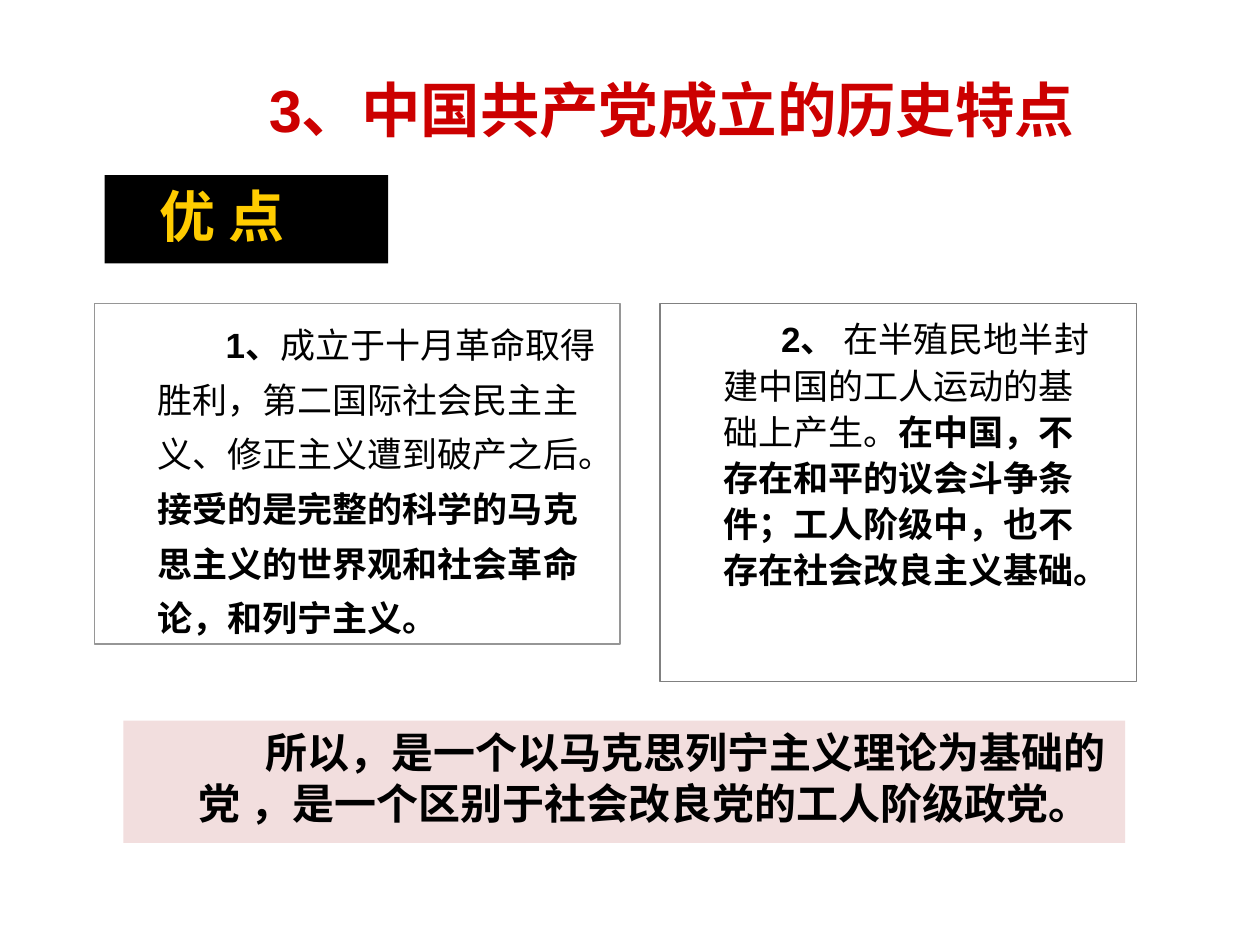
from pptx import Presentation
from pptx.dml.color import RGBColor
from pptx.enum.shapes import MSO_SHAPE
from pptx.enum.text import MSO_ANCHOR, PP_ALIGN
from pptx.util import Inches, Pt

RED = RGBColor(0xCC, 0x00, 0x00)
GOLD = RGBColor(0xFF, 0xCC, 0x00)
BLACK = RGBColor(0x00, 0x00, 0x00)
PINK = RGBColor(0xF2, 0xDE, 0xDE)
GRAY = RGBColor(0x96, 0x96, 0x96)
DARK = RGBColor(0x80, 0x80, 0x80)
SANS, HAN = "Arial", "Noto Sans CJK JP"

# Content: runs are (text, bold); pad is left, top, right, bottom
TITLE = "3、中国共产党成立的历史特点"
PAD = (0.1, 0.05, 0.1, 0.05)
BOXES = [
    dict(at=(0.83, 1.39, 2.25, 0.7), fill=BLACK, line=None, pad=PAD,
         left=0, first=0.34, gap=1.0, size=32, face=HAN, ink=GOLD,
         runs=[("优 点", True)]),
    dict(at=(0.98, 5.72, 7.95, 0.97), fill=PINK, line=None, pad=PAD,
         left=0.5, first=0.53, gap=1.0, size=24, face=SANS, ink=BLACK,
         runs=[("所以，是一个以马克思列宁主义理论为基础的党 ，"
                "是一个区别于社会改良党的工人阶级政党。", True)]),
    dict(at=(0.75, 2.41, 4.17, 2.7), fill=None, line=GRAY,
         pad=(0, 0.06, 0.06, 0.04),
         left=0.5, first=0.54, gap=1.3, size=20, face=SANS, ink=BLACK,
         runs=[("1、", True),
               ("成立于十月革命取得胜利，第二国际社会民主主义、"
                "修正主义遭到破产之后。", False),
               ("接受的是完整的科学的马克思主义的世界观和社会革命论，"
                "和列宁主义。", True)]),
    dict(at=(5.24, 2.41, 3.78, 3), fill=None, line=DARK,
         pad=(0, 0.08, 0.35, 0.35),
         left=0.5, first=0.46, gap=1.1, size=20, face=SANS, ink=BLACK,
         runs=[("2、 ", True),
               ("在半殖民地半封建中国的工人运动的基础上产生。", False),
               ("在中国，不存在和平的议会斗争条件；工人阶级中，"
                "也不存在社会改良主义基础。", True)]),
]


def set_frame(frame, pad):
    sides = [Inches(n) for n in pad]
    form = dict(zip(("margin_left", "margin_top", "margin_right",
                     "margin_bottom"), sides),
                word_wrap=True, vertical_anchor=MSO_ANCHOR.TOP)
    for key, val in form.items():
        setattr(frame, key, val)


def add_run(para, text, face, size, ink, bold):
    run = para.add_run()
    run.text = text
    form = dict(name=face, size=Pt(size), bold=bold)
    for key, val in form.items():
        setattr(run.font, key, val)
    run.font.color.rgb = ink


def add_box(slide, box):
    shape = slide.shapes.add_shape(
        MSO_SHAPE.RECTANGLE, *[Inches(n) for n in box["at"]])
    shape.shadow.inherit = False
    if box["fill"] is None:
        shape.fill.background()
    else:
        shape.fill.solid()
        shape.fill.fore_color.rgb = box["fill"]
    if box["line"] is None:
        shape.line.fill.background()
    else:
        shape.line.color.rgb = box["line"]
        shape.line.width = Pt(1)
    set_frame(shape.text_frame, box["pad"])
    para = shape.text_frame.paragraphs[0]
    para.alignment = PP_ALIGN.LEFT
    para.line_spacing = box["gap"]
    # Left margin and first-line indent
    props = para._p.get_or_add_pPr()
    props.set("marL", str(Inches(box["left"])))
    props.set("indent", str(Inches(box["first"])))
    for text, bold in box["runs"]:
        add_run(para, text, box["face"], box["size"], box["ink"], bold)


def main():
    deck = Presentation()
    deck.slide_width, deck.slide_height = Inches(10), Inches(7.5)
    slide = deck.slides.add_slide(deck.slide_layouts[5])

    # Title
    title = slide.shapes.title
    spot = dict(left=0.66, top=0.58, width=9.34, height=1.25)
    for key, val in spot.items():
        setattr(title, key, Inches(val))
    set_frame(title.text_frame, (0.1, 0, 0.1, 0))
    para = title.text_frame.paragraphs[0]
    para.alignment = PP_ALIGN.CENTER
    add_run(para, TITLE, SANS, 34, RED, True)

    # Label, conclusion and the two points
    for box in BOXES:
        add_box(slide, box)
    deck.save("out.pptx")


if __name__ == "__main__":
    main()
